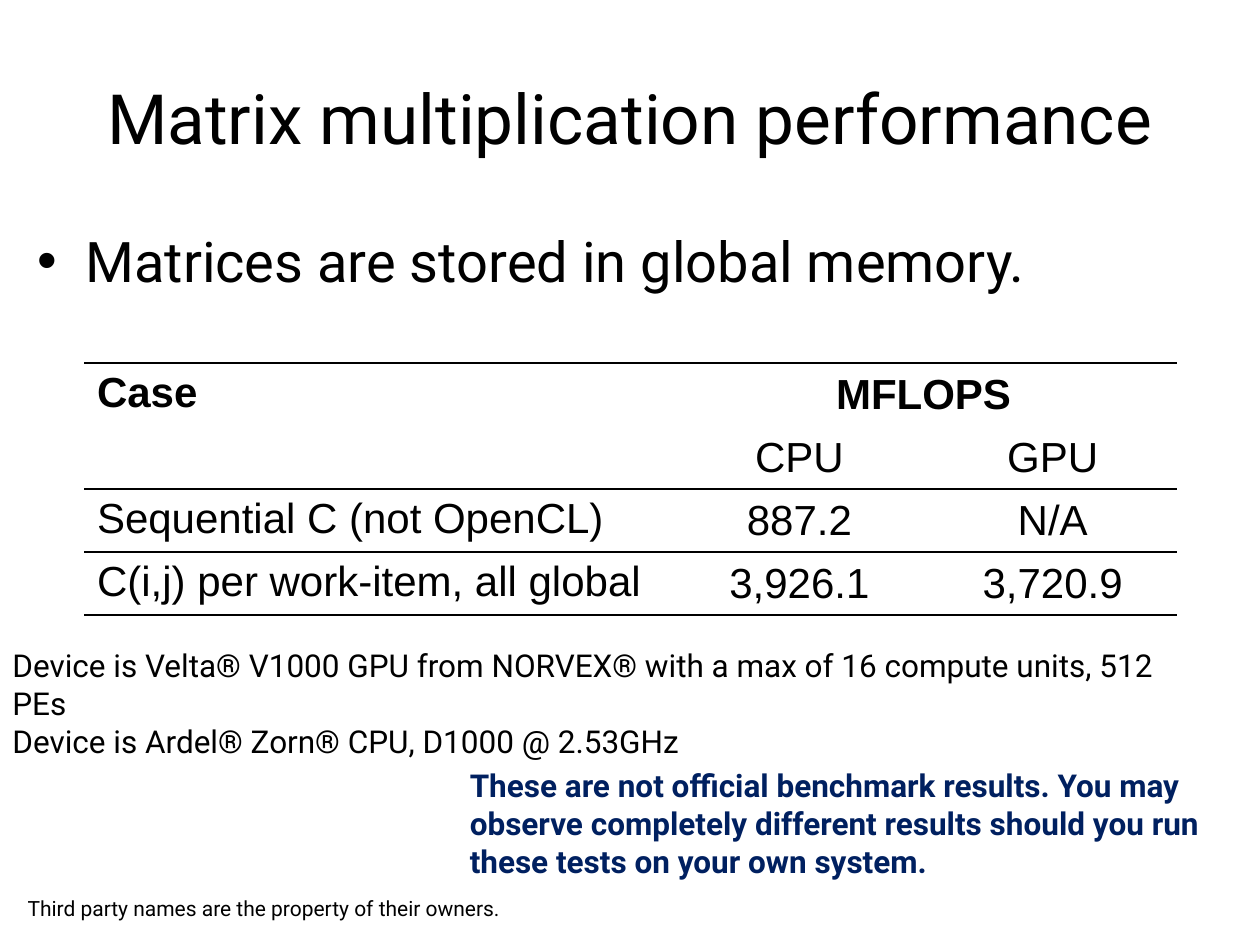
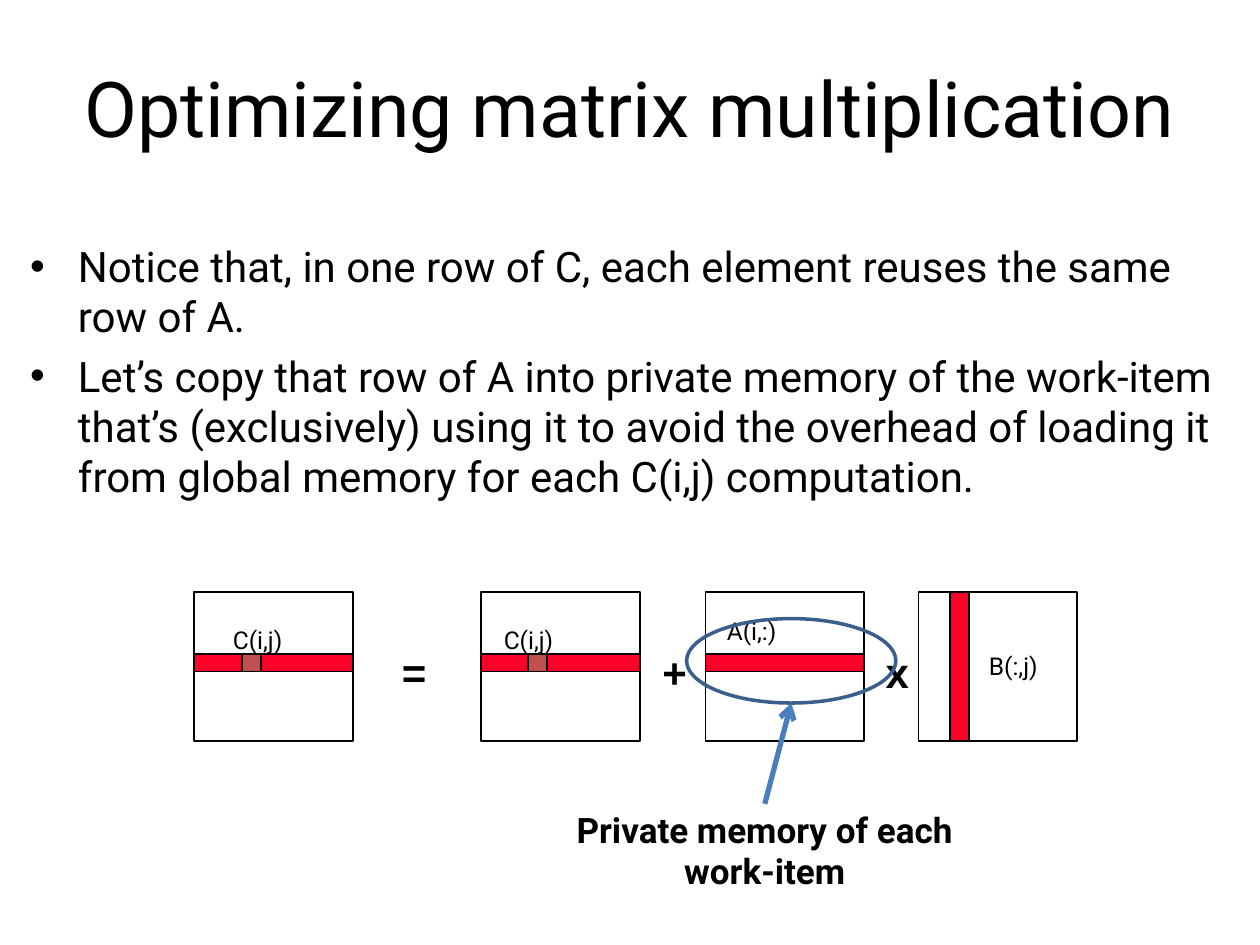
import pptx
import pptx.util
import pptx.dml.color
import pptx.enum.shapes
import pptx.enum.text
import pptx.oxml
import pptx.oxml.ns
from lxml import etree

Inches = pptx.util.Inches
Pt = pptx.util.Pt
RGBColor = pptx.dml.color.RGBColor
ALIGN = pptx.enum.text.PP_ALIGN
ANCHOR = pptx.enum.text.MSO_ANCHOR
SHAPE = pptx.enum.shapes.MSO_SHAPE
qn = pptx.oxml.ns.qn

BLACK = RGBColor(0x00, 0x00, 0x00)
NAVY = RGBColor(0x00, 0x20, 0x60)
RED = RGBColor(0xFC, 0x01, 0x28)
BRICK = RGBColor(0xC0, 0x50, 0x4D)
OUTLINE_BLUE = RGBColor(0x3A, 0x5F, 0x8C)
ARROW_BLUE = RGBColor(0x4B, 0x7E, 0xBC)

BODY_FONT = "Roboto"
TABLE_FONT = "Arial"
PLAIN_TABLE = "{2D5ABB26-0587-4C30-8999-92F81FD0307C}"

MATRIX_TOP, MATRIX_WIDTH, MATRIX_HEIGHT = 4.7, 1.26, 1.18
BAND_TOP, BAND_HEIGHT, CELL_WIDTH = 5.19, 0.14, 0.15


class Deck:
    """Hold the shared style and the current slide, and add elements to it."""

    def __init__(self):
        self.prs = pptx.Presentation()
        self.prs.slide_width, self.prs.slide_height = Inches(10), Inches(7.5)
        self.s = None

    def new_slide(self):
        self.s = self.prs.slides.add_slide(self.prs.slide_layouts[6])

    def styled_run(self, p, text, size, color=BLACK, font=BODY_FONT, bold=False,
                   **layout):
        for name, value in layout.items():
            setattr(p, name, value)
        r = p.add_run()
        r.text = text
        for name, value in {"name": font, "size": Pt(size), "bold": bold}.items():
            setattr(r.font, name, value)
        r.font.color.rgb = color

    def text(self, box, lines, size, anchor=ANCHOR.TOP, bullet=False, gap=0,
             right_inset=0.1, **style):
        sp = self.s.shapes.add_textbox(*map(Inches, box))
        tf = sp.text_frame
        frame = {"word_wrap": True, "vertical_anchor": anchor,
                 "margin_right": Inches(right_inset)}
        for name, value in frame.items():
            setattr(tf, name, value)
        for i, line in enumerate(lines):
            p = tf.add_paragraph() if i else tf.paragraphs[0]
            if bullet:
                self.bullet(p)
            if i and gap:
                p.space_before = Pt(gap)
            self.styled_run(p, line, size, **style)
        return sp

    def bullet(self, p):
        pPr = p._p.get_or_add_pPr()
        pPr.set("marL", str(Inches(0.38)))
        pPr.set("indent", str(-Inches(0.38)))
        etree.SubElement(pPr, qn("a:buFont"), typeface="Arial")
        etree.SubElement(pPr, qn("a:buChar"), char="•")

    def title(self, box, text, size):
        self.text(box, [text], size, anchor=ANCHOR.MIDDLE, alignment=ALIGN.CENTER)

    def shape(self, kind, box, fill=None, line=BLACK, width=1):
        sp = self.s.shapes.add_shape(kind, *map(Inches, box))
        sp.shadow.inherit = False
        if fill is None:
            sp.fill.background()
        else:
            sp.fill.solid()
            sp.fill.fore_color.rgb = fill
        sp.line.color.rgb = line
        sp.line.width = Pt(width)
        return sp

    def arrow(self, source, end, color, width):
        x, y = map(Inches, end)
        cn = self.s.shapes.add_connector(
            pptx.enum.shapes.MSO_CONNECTOR.STRAIGHT, x, y, x, y)
        cn.begin_connect(source, 0)
        cn.line.color.rgb = color
        cn.line.width = Pt(width)
        spPr = cn._element.spPr
        etree.SubElement(spPr.find(qn("a:ln")), qn("a:tailEnd"), type="arrow")
        etree.SubElement(spPr, qn("a:effectLst"))

    def rule(self, cell, tag):
        ln = etree.Element(qn(tag), w=str(Pt(1)))
        fill = etree.SubElement(ln, qn("a:solidFill"))
        etree.SubElement(fill, qn("a:srgbClr"), val=str(BLACK))
        cell._tc.get_or_add_tcPr().insert(0, ln)

    def table(self, left, top, widths, row_height, rows, bold_rows, ruled_rows, merges):
        box = (left, top, sum(widths), row_height * len(rows))
        table = self.s.shapes.add_table(
            len(rows), len(widths), *map(Inches, box)).table
        table.first_row = table.horz_banding = False
        table._tbl.tblPr.find(qn("a:tableStyleId")).text = PLAIN_TABLE
        for column, width in zip(table.columns, widths):
            column.width = Inches(width)
        for first, last in merges:
            table.cell(*first).merge(table.cell(*last))
        for i, row in enumerate(rows):
            for j, value in enumerate(row):
                cell = table.cell(i, j)
                cell.fill.background()
                cell.vertical_anchor = ANCHOR.MIDDLE if j else ANCHOR.TOP
                if i == len(rows) - 1:
                    self.rule(cell, "a:lnB")
                if i in ruled_rows:
                    self.rule(cell, "a:lnT")
                if value:
                    self.styled_run(cell.text_frame.paragraphs[0], value, 24,
                                    font=TABLE_FONT, bold=i in bold_rows,
                                    alignment=ALIGN.CENTER if j else ALIGN.LEFT)

    def matrix(self, left, label, label_at, column=False, element=None):
        self.shape(SHAPE.RECTANGLE, (left, MATRIX_TOP, MATRIX_WIDTH, MATRIX_HEIGHT))
        if column:
            band = (left + 0.25, MATRIX_TOP, CELL_WIDTH, MATRIX_HEIGHT)
        else:
            band = (left, BAND_TOP, MATRIX_WIDTH, BAND_HEIGHT)
        self.shape(SHAPE.RECTANGLE, band, RED)
        if element is not None:
            self.shape(SHAPE.RECTANGLE,
                       (left + element, BAND_TOP, CELL_WIDTH, BAND_HEIGHT), BRICK)
        self.text((*label_at, 0.74, 0.34), [label], 14)


def performance_slide(deck):
    deck.new_slide()
    deck.title((0.5, 0.3, 9, 1.25), "Matrix multiplication performance", 39.6)
    deck.text((0.2, 1.75, 9.61, 0.9), ["Matrices are stored in global memory."],
              32, bullet=True)
    rows = [
        ("Case", "MFLOPS", ""),
        ("", "CPU", "GPU"),
        ("Sequential C (not OpenCL)", "887.2", "N/A"),
        ("C(i,j) per work-item, all global", "3,926.1", "3,720.9"),
    ]
    deck.table(0.67, 2.88, (4.65, 2.05, 1.97), 0.47, rows, bold_rows={0},
               ruled_rows={0, 2, 3}, merges=[((0, 0), (1, 0)), ((0, 1), (0, 2))])
    deck.text((0, 5.08, 9.72, 0.71), [
        "Device is Velta® V1000 GPU from NORVEX® with a max of 16 compute units, 512 PEs",
        "Device is Ardel® Zorn® CPU, D1000 @ 2.53GHz",
    ], 18)
    deck.text((0.12, 7.06, 5.32, 0.57),
              ["Third party names are the property of their owners."], 12)
    deck.text((3.63, 6.03, 6.29, 1.31), [
        "These are not official benchmark results. You may observe completely "
        "different results should you run these tests on your own system.",
    ], 18, color=NAVY, bold=True)


def optimizing_slide(deck):
    deck.new_slide()
    deck.title((0.12, 0.22, 9.76, 1.25), "Optimizing matrix multiplication", 44)
    deck.text((0.14, 1.86, 9.61, 2.36), [
        "Notice that, in one row of C, each element reuses the same row of A.",
        "Let’s copy that row of A into private memory of the work-item that’s "
        "(exclusively) using it to avoid the overhead of loading it from global "
        "memory for each C(i,j) computation.",
    ], 24, bullet=True, gap=5)
    deck.matrix(1.54, "C(i,j)", (1.75, 4.91), element=0.38)
    deck.matrix(3.82, "C(i,j)", (3.9, 4.91), element=0.37)
    deck.matrix(5.6, "A(i,:)", (5.67, 4.84))
    deck.matrix(7.29, "B(:,j)", (7.75, 5.12), column=True)
    for left, width, sign in ((3.09, 0.59, "="), (5.16, 0.3, "+"), (6.93, 0.3, "x")):
        deck.text((left, 5.08, width, 0.5), [sign], 24, font=TABLE_FONT, bold=True,
                  right_inset=0)
    caption = deck.text((4.27, 6.38, 3.6, 0.77), ["Private memory of each work-item"],
                        20, bold=True, alignment=ALIGN.CENTER, line_spacing=0.99)
    deck.shape(SHAPE.OVAL, (5.45, 4.91, 1.66, 0.67), line=OUTLINE_BLUE, width=2)
    deck.arrow(caption, (6.28, 5.58), ARROW_BLUE, 3)


def main():
    deck = Deck()
    performance_slide(deck)
    optimizing_slide(deck)
    deck.prs.save("out.pptx")


if __name__ == "__main__":
    main()
